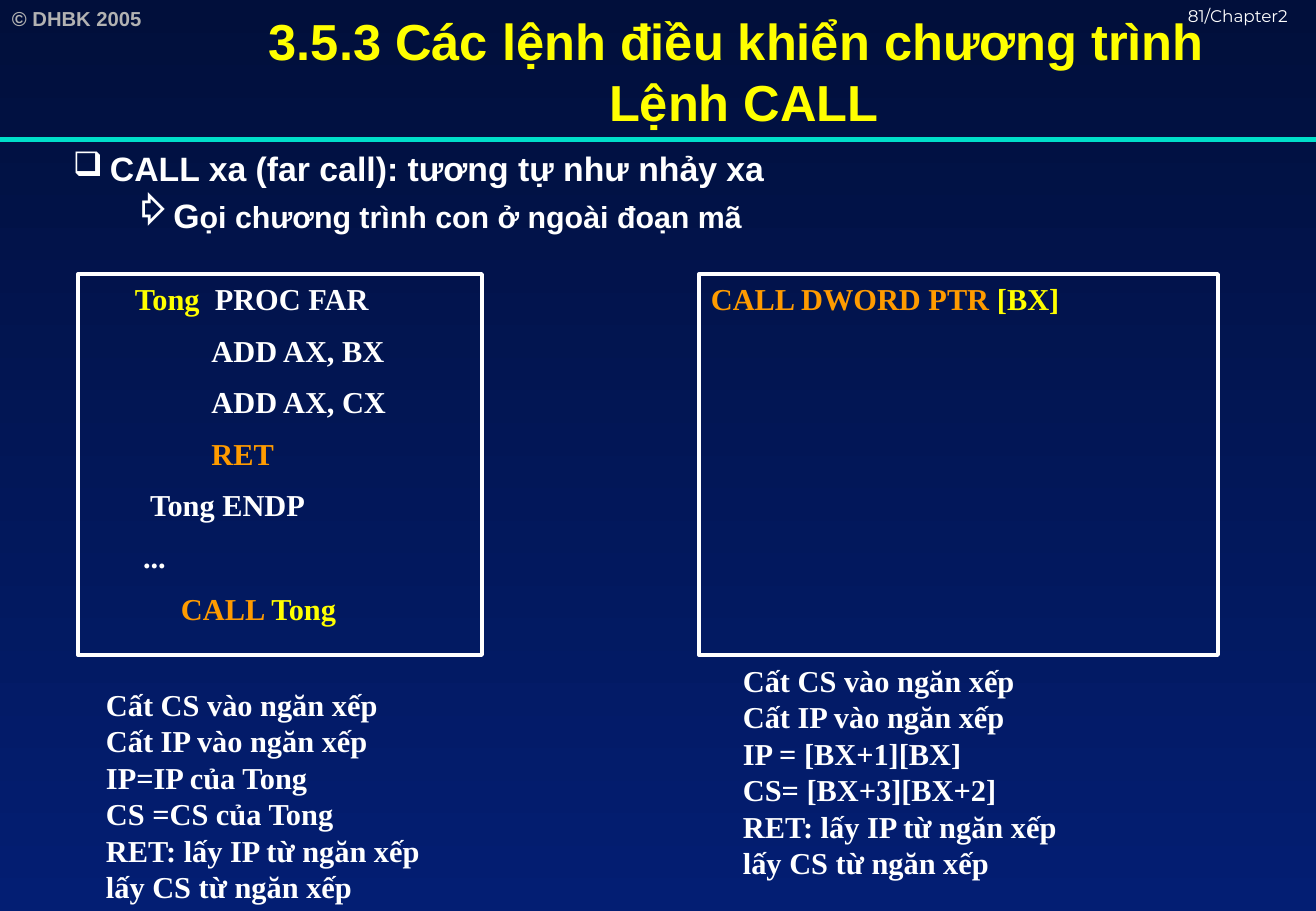
"""Build the slide on the far CALL instruction."""
from lxml import etree
from pptx import Presentation
from pptx import util as u
from pptx.dml.color import RGBColor
from pptx.enum import shapes, text
from pptx.oxml.ns import qn

PX = 7526
WHITE = RGBColor(0xFF, 0xFF, 0xFF)
GREY = RGBColor(0xB2, 0xB2, 0xB2)
YELLOW = RGBColor(0xFF, 0xFF, 0x00)
ORANGE = RGBColor(0xFF, 0x9B, 0x00)
TEAL = RGBColor(0x00, 0xDF, 0xCA)
NIGHT = RGBColor(0x01, 0x0F, 0x3B)
NAVY = RGBColor(0x03, 0x1E, 0x73)
SERIF = "Times New Roman"


def style(para, face, size, color, bold=True):
    para.font.name = face
    para.font.size = u.Pt(size)
    para.font.color.rgb = color
    para.font.bold = bold


def add_box(left, top, width, height, wrap=True):
    box = slide.shapes.add_textbox(left * PX, top * PX, width * PX, height * PX)
    box.text_frame.word_wrap = wrap
    return box.text_frame


deck = Presentation()
deck.slide_width, deck.slide_height = 1316 * PX, 911 * PX
slide = deck.slides.add_slide(deck.slide_layouts[5])
back = slide.background.fill
back.gradient()
back.gradient_angle = 270
for stop, color in zip(back.gradient_stops, (NIGHT, NAVY)):
    stop.color.rgb = color

title = slide.shapes.title
title.left, title.top, title.width, title.height = 171 * PX, 0, 1146 * PX, 142 * PX
title.text_frame.text = "3.5.3 Các lệnh điều khiển chương trình \vLệnh CALL"
title.text_frame.vertical_anchor = text.MSO_ANCHOR.MIDDLE
title.text_frame.auto_size = text.MSO_AUTO_SIZE.NONE
head = title.text_frame.paragraphs[0]
head.alignment = text.PP_ALIGN.CENTER
style(head, "Arial", 30, YELLOW)

rule = slide.shapes.add_connector(shapes.MSO_CONNECTOR.STRAIGHT, 0, 140 * PX, 1316 * PX, 140 * PX)
rule.line.color.rgb = TEAL
rule.line.width = u.Pt(3)
etree.SubElement(rule._element.spPr, qn("a:effectLst"))

for left, width, words, face, size, color, bold in (
    (0, 191, "© DHBK 2005", "Arial", 12, GREY, True),
    (1176, 140, "81/Chapter2", "Montserrat", 10, WHITE, False),
):
    para = add_box(left, 0, width, 36).paragraphs[0]
    para.text = words
    style(para, face, size, color, bold)

body = add_box(0, 142, 1316, 110)
for row, (margin, hang, mark, size, parts) in enumerate((
    (98, 37, "❑", 20, ["CALL xa (far call): tương tự như nhảy xa"]),
    (152, 30, "⇨", 18, ["G", "ọi chương trình con ở ngoài đoạn mã"]),
)):
    para = body.add_paragraph() if row else body.paragraphs[0]
    props = para._p.get_or_add_pPr()
    props.set("marL", str(margin * PX))
    props.set("indent", str(-hang * PX))
    etree.SubElement(props, qn("a:buChar")).set("char", mark)
    for part in parts:
        para.add_run().text = part
    if row:
        para.space_before = u.Pt(4)
        para.runs[0].font.size = u.Pt(20)
    style(para, "Arial", size, WHITE)

near = (
    (("      Tong", YELLOW), ("  PROC FAR", WHITE)),
    (("\tADD AX, BX", WHITE),),
    (("\tADD AX, CX", WHITE),),
    (("\tRET", ORANGE),),
    (("        Tong ENDP", WHITE),),
    (("       ...", WHITE),),
    (("            CALL ", ORANGE), ("Tong", YELLOW)),
)
far = ((("CALL DWORD PTR ", ORANGE), ("[BX]", YELLOW)),)
for left, width, code in ((78, 404, near), (699, 519, far)):
    pane = slide.shapes.add_shape(shapes.MSO_SHAPE.RECTANGLE, left * PX, 274 * PX, width * PX, 381 * PX)
    pane.shadow.inherit = False
    pane.fill.background()
    pane.line.color.rgb = WHITE
    pane.line.width = u.Pt(2.25)
    frame = pane.text_frame
    frame.vertical_anchor = text.MSO_ANCHOR.TOP
    for row, parts in enumerate(code):
        para = frame.add_paragraph() if row else frame.paragraphs[0]
        para.alignment = text.PP_ALIGN.LEFT
        if row:
            para.space_before = u.Pt(9)
        tabs = etree.SubElement(para._p.get_or_add_pPr(), qn("a:tabLst"))
        etree.SubElement(tabs, qn("a:tab"), pos=str(u.Inches(1)), algn="l")
        style(para, SERIF, 18, WHITE)
        for words, color in parts:
            run = para.add_run()
            run.text = words
            run.font.color.rgb = color

push = ["Cất CS vào ngăn xếp", "Cất IP vào ngăn xếp"]
pop = ["RET: lấy IP từ ngăn xếp", "lấy CS từ ngăn xếp"]
for left, top, width, loads in (
    (94, 680, 343, ["IP=IP của Tong", "CS =CS của Tong"]),
    (731, 656, 371, ["IP = [BX+1][BX]", "CS= [BX+3][BX+2]"]),
):
    steps = add_box(left, top, width, 231, wrap=False)
    steps.text = "\n".join(push + loads + pop)
    for para in steps.paragraphs:
        style(para, SERIF, 18, WHITE)

deck.save("out.pptx")
